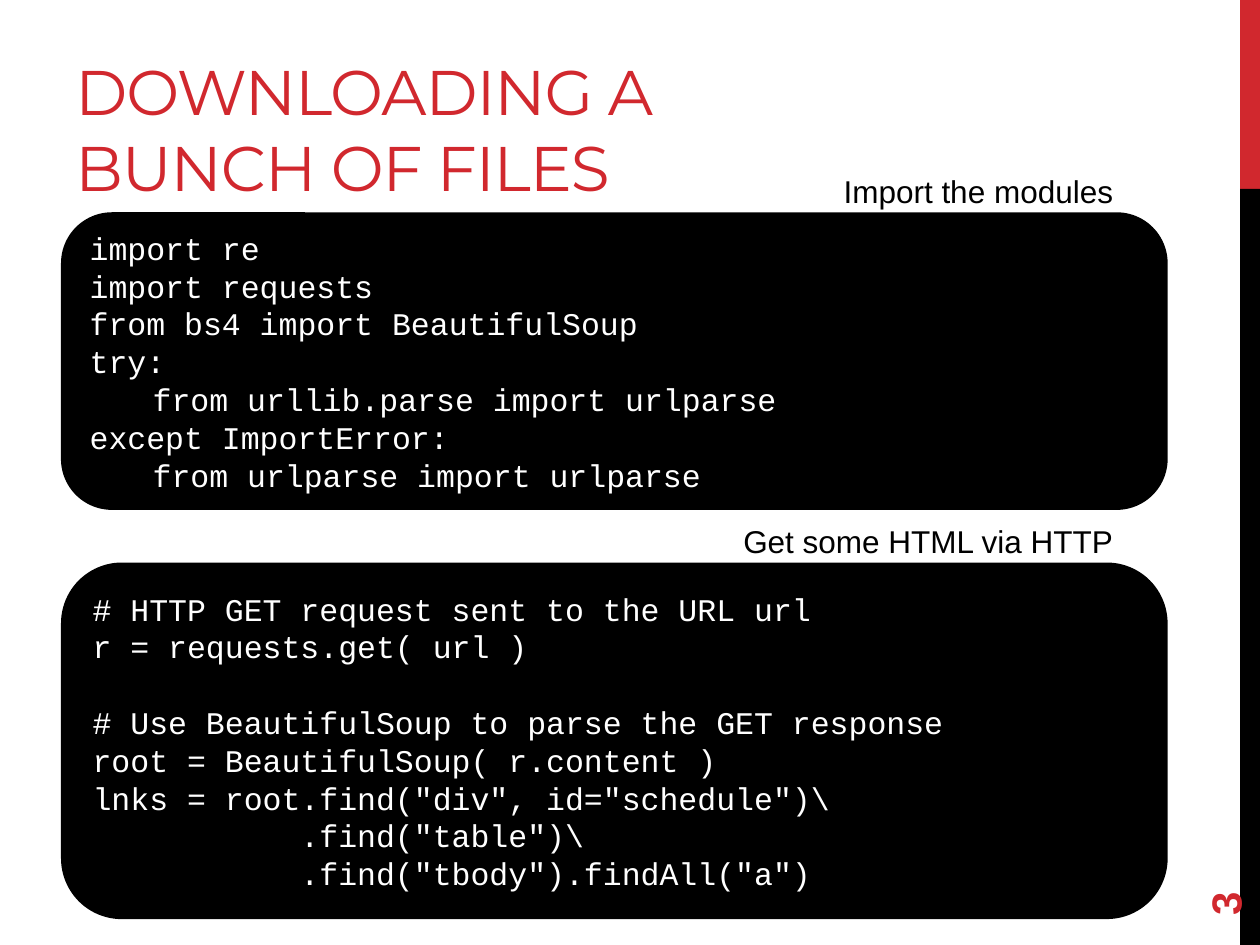
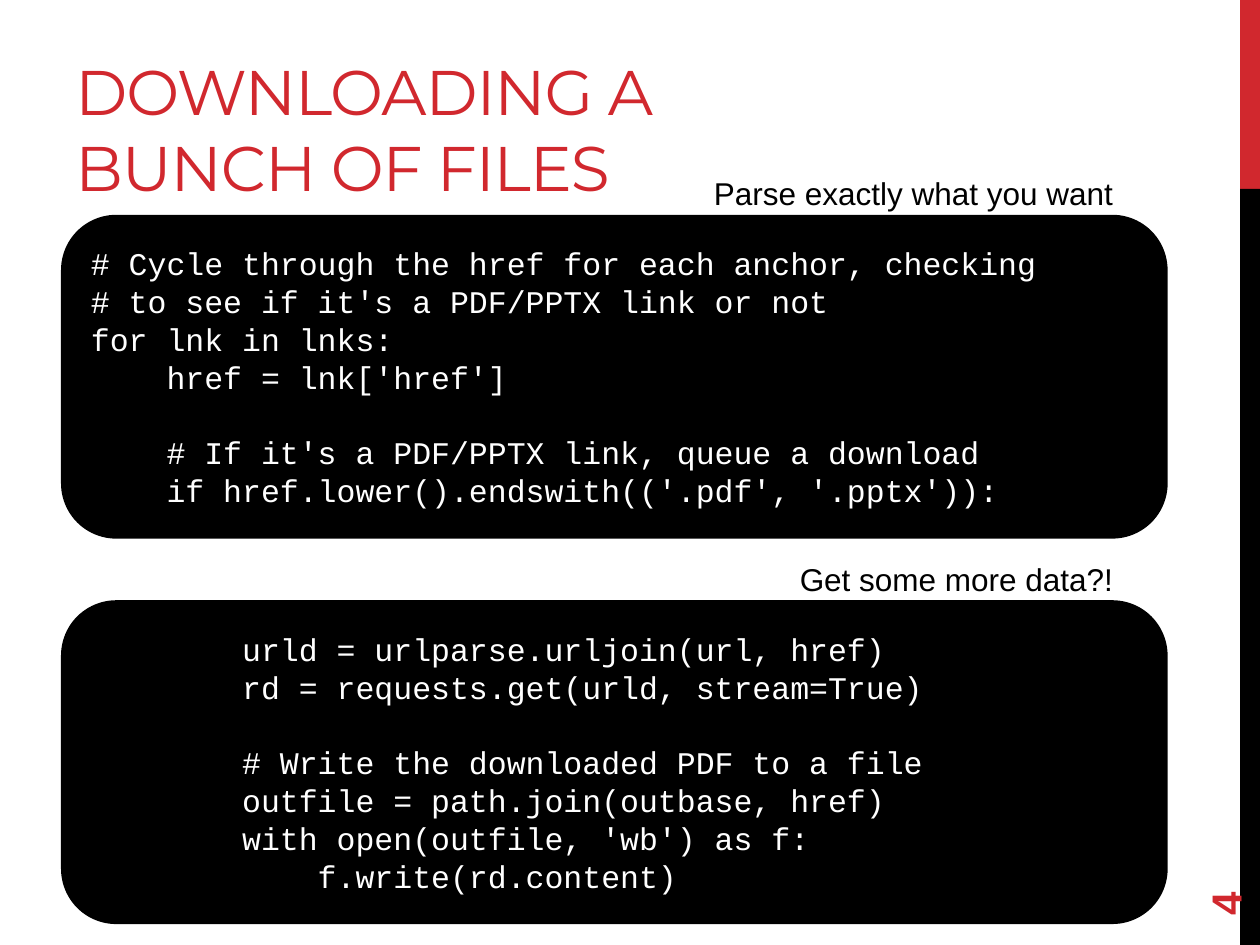
from pptx import Presentation, util as u
from pptx.dml.color import RGBColor
from pptx.enum import shapes, text

RED, BLACK, WHITE = "D1282E", "000000", "FFFFFF"
HEAD, BODY, CODE = "Montserrat", "Arial", "Courier New"
TITLE = "DOWNLOADING A BUNCH OF FILES"
LEFT = 1.27
WIDE, HIGH = 25.4, 19.05
PITCH = u.Pt(21.6)

IMPORTS = """import re
import requests
from bs4 import BeautifulSoup
try:
\tfrom urllib.parse import urlparse
except ImportError:
\tfrom urlparse import urlparse"""

FETCH = r"""# HTTP GET request sent to the URL url
r = requests.get( url )

# Use BeautifulSoup to parse the GET response
root = BeautifulSoup( r.content )
lnks = root.find("div", id="schedule")\
           .find("table")\
           .find("tbody").findAll("a")"""

CYCLE = """# Cycle through the href for each anchor, checking
# to see if it's a PDF/PPTX link or not
for lnk in lnks:
    href = lnk['href']

    # If it's a PDF/PPTX link, queue a download
    if href.lower().endswith(('.pdf', '.pptx')):"""

SAVE = """        urld = urlparse.urljoin(url, href)
        rd = requests.get(urld, stream=True)

        # Write the downloaded PDF to a file
        outfile = path.join(outbase, href)
        with open(outfile, 'wb') as f:
            f.write(rd.content)"""

PAGES = [
    (3, [("Import the modules", IMPORTS, 4.32, 5.92),
         ("Get some HTML via HTTP", FETCH, 11.38, 7.11)]),
    (4, [("Parse exactly what you want", CYCLE, 4.37, 6.45),
         ("Get some more data?!", SAVE, 12.14, 6.45)]),
]


def tint(value):
    """Turn a hex string into a colour."""
    return RGBColor.from_string(value)


def place(*sizes):
    """Turn centimetres into lengths."""
    return [u.Cm(size) for size in sizes]


def write(para, words, font, size, hue, bold=False):
    """Add one styled run to a paragraph."""
    run = para.add_run()
    run.text = words
    run.font.name = font
    run.font.size = u.Pt(size)
    run.font.bold = bold
    run.font.color.rgb = tint(hue)
    return run


def add_box(slide, area, anchor, wrap=True):
    """Add an empty text box and return it."""
    box = slide.shapes.add_textbox(*place(*area))
    box.text_frame.word_wrap = wrap
    box.text_frame.vertical_anchor = anchor
    return box


def add_form(slide, kind, area, hue):
    """Add a plain filled shape and return it."""
    form = slide.shapes.add_shape(kind, *place(*area))
    form.shadow.inherit = False
    form.fill.solid()
    form.fill.fore_color.rgb = tint(hue)
    form.line.fill.background()
    return form


def add_frame(slide, number):
    """Add the side bands, title and page number."""
    rect = shapes.MSO_SHAPE.RECTANGLE
    edge, split = 25.0, 3.81
    add_form(slide, rect, (edge, 0, WIDE - edge, split), RED)
    add_form(slide, rect, (edge, split, WIDE - edge, HIGH - split), BLACK)

    title = add_box(slide, (LEFT, 0.43, 16.08, 3.81), text.MSO_ANCHOR.BOTTOM)
    run = write(title.text_frame.paragraphs[0], TITLE, HEAD, 36, RED)
    run.font._element.set("spc", "-60")

    page = add_box(slide, (22.86, 16.36, 3.66, 1.02), text.MSO_ANCHOR.MIDDLE)
    page.rotation = 270
    write(page.text_frame.paragraphs[0], str(number), BODY, 24, RED, True)


def add_label(slide, words, top):
    """Add a right-aligned caption."""
    box = add_box(slide, (13.97, top, 8.72, 1.02), text.MSO_ANCHOR.TOP)
    para = box.text_frame.paragraphs[0]
    para.alignment = text.PP_ALIGN.RIGHT
    write(para, words, BODY, 18, BLACK)


def add_code(slide, code, top, height):
    """Add a rounded panel of code, with gaps as paragraph spacing."""
    kind = shapes.MSO_SHAPE.ROUNDED_RECTANGLE
    panel = add_form(slide, kind, (LEFT, top, 22.23, height), BLACK)
    panel.line.color.rgb = tint(BLACK)
    panel.line.width = u.Pt(2.25)
    frame = panel.text_frame
    frame.word_wrap = True
    frame.vertical_anchor = text.MSO_ANCHOR.MIDDLE
    gap = False
    for index, line in enumerate(code.split("\n")):
        if not line:
            gap = True
            continue
        para = frame.add_paragraph() if index else frame.paragraphs[0]
        para.alignment = text.PP_ALIGN.LEFT
        para.line_spacing = PITCH
        if gap:
            para.space_before = PITCH
        if line.startswith("\t"):
            para._p.get_or_add_pPr().set("marL", str(u.Cm(1.27)))
        write(para, line.lstrip("\t"), CODE, 18, WHITE)
        gap = False


def main():
    """Build and save the slides."""
    deck = Presentation()
    deck.slide_width, deck.slide_height = place(WIDE, HIGH)
    for number, panels in PAGES:
        slide = deck.slides.add_slide(deck.slide_layouts[6])
        add_frame(slide, number)
        for label, code, top, height in panels:
            add_code(slide, code, top, height)
            add_label(slide, label, top - 0.98)
    deck.save("out.pptx")


if __name__ == "__main__":
    main()
